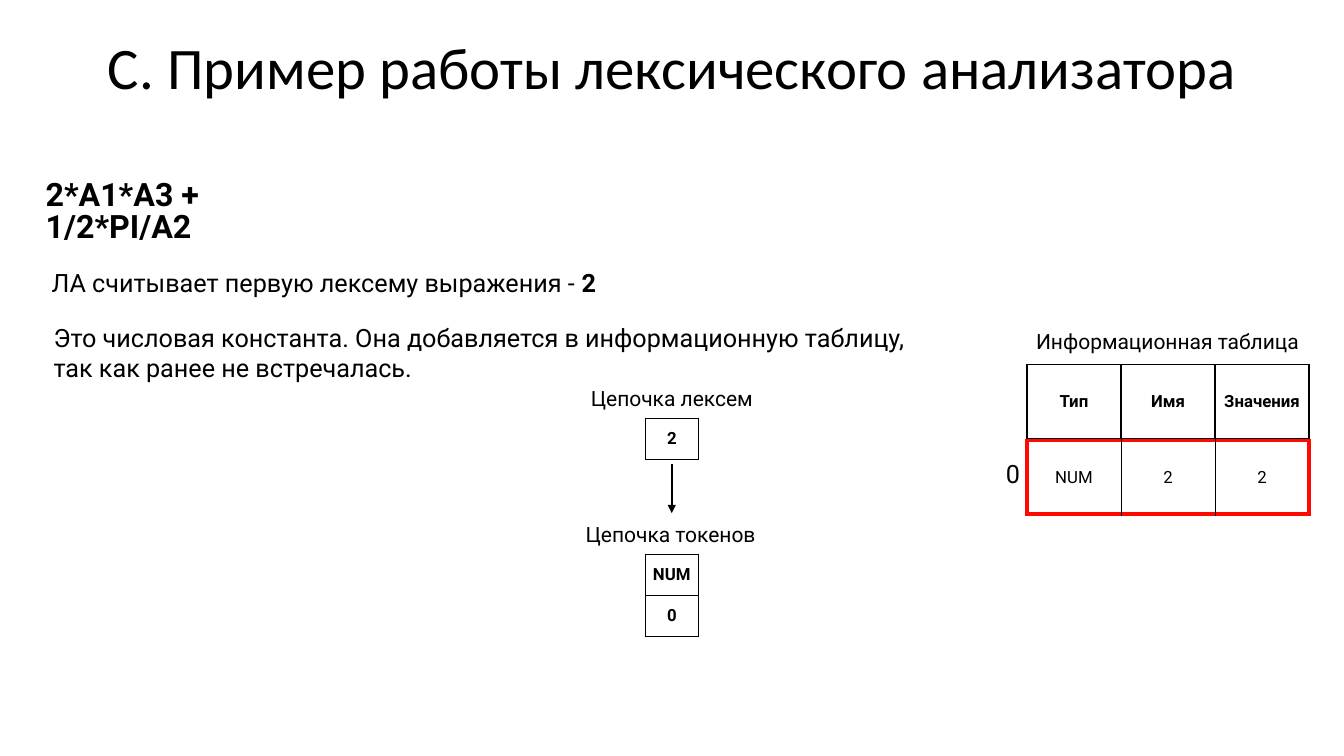
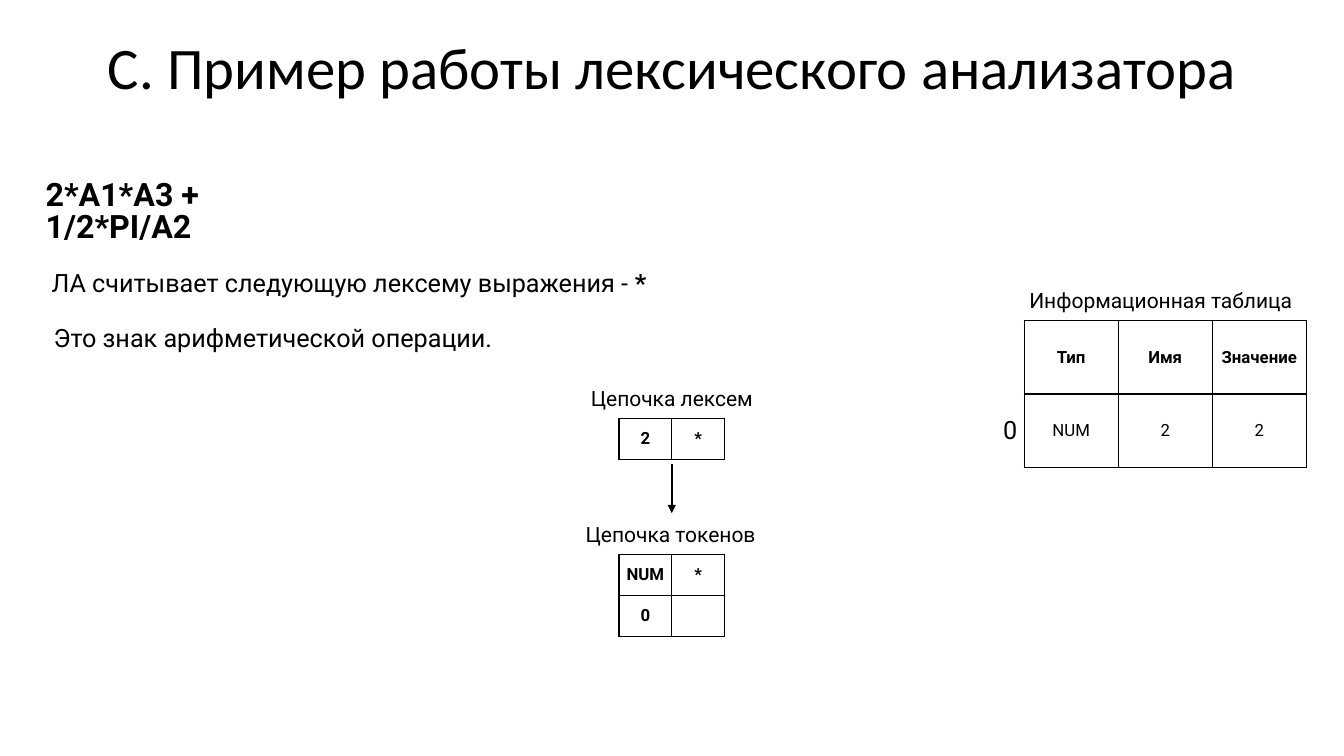
from dataclasses import dataclass

from lxml.etree import SubElement
from pptx import Presentation
from pptx.dml.color import RGBColor
from pptx.enum.shapes import MSO_CONNECTOR as Connector
from pptx.enum.text import MSO_ANCHOR as Anchor, MSO_AUTO_SIZE as AutoSize, PP_ALIGN as Align
from pptx.oxml import parse_xml
from pptx.oxml.ns import nsdecls, qn
from pptx.util import Cm, Pt

BLACK = "000000"
WHITE = "FFFFFF"
RED = "FF0900"
TITLE_FONT = "Calibri"
BODY_FONT = "Roboto"
TITLE = "C. Пример работы лексического анализатора"
FORMULA = "2*A1*A3 +\n1/2*PI/A2"
INSET = 0.13
CHAIN_CENTER = 16.93
CHAIN_CELL = (1.33, 1.03)
INFO_CELL = (2.37, 1.85)


@dataclass(frozen=True)
class Box:
    left: float
    top: float
    width: float
    height: float


@dataclass(frozen=True)
class Caption:
    text: str
    box: Box
    size: float
    ending: str = ""


@dataclass(frozen=True)
class Grid:
    rows: list[list[str]]
    left: float
    top: float
    cell_size: tuple[float, float]
    bold_rows: int = 0
    framed: bool = False


@dataclass(frozen=True)
class Step:
    captions: list[Caption]
    info_grids: list[Grid]
    lexemes: list[str]
    tokens: list[list[str]]


CHAIN_CAPTIONS = [
    Caption("Цепочка лексем", Box(14.76, 9.58, 4.37, 0.89), 15),
    Caption("Цепочка токенов", Box(14.63, 13, 4.6, 0.89), 15),
]

STEPS = [
    Step(
        captions=[
            Caption("ЛА считывает первую лексему выражения - ", Box(1.17, 6.6, 14.1, 1.04), 18, "2"),
            Caption(
                "Это числовая константа. Она добавляется в информационную таблицу,\n"
                "так как ранее не встречалась.",
                Box(1.22, 7.98, 22.05, 1.8), 18,
            ),
            Caption("Информационная таблица", Box(25.98, 8.15, 6.93, 0.89), 15),
            Caption("0", Box(25.22, 11.43, 0.64, 1.04), 18),
        ],
        info_grids=[
            Grid([["Тип", "Имя", "Значения"]], 25.88, 9.19, INFO_CELL, bold_rows=1),
            Grid([["NUM", "2", "2"]], 25.88, 11.1, INFO_CELL, framed=True),
        ],
        lexemes=["2"],
        tokens=[["NUM"], ["0"]],
    ),
    Step(
        captions=[
            Caption("ЛА считывает следующую лексему выражения - ", Box(1.17, 6.6, 15.32, 1.04), 18, "*"),
            Caption("Это знак арифметической операции.", Box(1.22, 7.98, 11.51, 1.04), 18),
            Caption("Информационная таблица", Box(25.81, 7.11, 6.93, 0.89), 15),
            Caption("0", Box(25.15, 10.31, 0.64, 1.04), 18),
        ],
        info_grids=[
            Grid([["Тип", "Имя", "Значение"], ["NUM", "2", "2"]], 25.81, 8.08, INFO_CELL, bold_rows=1),
        ],
        lexemes=["2", "*"],
        tokens=[["NUM", "*"], ["0", ""]],
    ),
]


def color(value: str) -> RGBColor:
    return RGBColor.from_string(value)


def set_text(frame, text: str, *, size: float, font: str = BODY_FONT, bold: bool = False,
             align=Align.LEFT, line_spacing: float = 1.0, ending: str = "") -> None:
    for index, line in enumerate(text.split("\n")):
        paragraph = frame.add_paragraph() if index else frame.paragraphs[0]
        paragraph.alignment = align
        paragraph.line_spacing = line_spacing
        paragraph.font.size = Pt(size)
        for part, strong in ((line, bold), (ending, True)):
            if part:
                run = paragraph.add_run()
                run.text = part
                run.font.name = font
                run.font.size = Pt(size)
                run.font.bold = strong
                run.font.color.rgb = color(BLACK)


def set_insets(target, inset: float) -> None:
    target.margin_left = target.margin_right = Cm(inset)
    target.margin_top = target.margin_bottom = Cm(inset)


def place(shape, box: Box) -> None:
    shape.left, shape.top = Cm(box.left), Cm(box.top)
    shape.width, shape.height = Cm(box.width), Cm(box.height)


def add_text(slide, text: str, box: Box, *, wrap: bool = False, **text_format) -> None:
    shape = slide.shapes.add_textbox(Cm(box.left), Cm(box.top), Cm(box.width), Cm(box.height))
    frame = shape.text_frame
    frame.word_wrap = wrap
    set_insets(frame, INSET)
    set_text(frame, text, **text_format)


def add_title(slide) -> None:
    frame = slide.shapes.title.text_frame
    frame.auto_size = AutoSize.NONE
    frame.vertical_anchor = Anchor.MIDDLE
    set_insets(frame, INSET)
    set_text(frame, TITLE, size=42, font=TITLE_FONT, align=Align.CENTER, line_spacing=0.9)


def set_borders(cell, sides: dict[str, tuple[str, float]]) -> None:
    properties = cell._tc.get_or_add_tcPr()
    for index, (side, (line_color, width)) in enumerate(sides.items()):
        border = parse_xml(
            f'<a:ln{side} {nsdecls("a")} w="{Pt(width)}"><a:solidFill>'
            f'<a:srgbClr val="{line_color}"/></a:solidFill></a:ln{side}>'
        )
        properties.insert(index, border)


def cell_borders(grid: Grid, column: int) -> dict[str, tuple[str, float]]:
    if not grid.framed:
        return {side: (BLACK, 1) for side in "LRTB"}
    outer, inner = (RED, 3), (BLACK, 0.5)
    last = len(grid.rows[0]) - 1
    return {
        "L": outer if column == 0 else inner,
        "R": outer if column == last else inner,
        "T": outer,
        "B": outer,
    }


def add_grid(slide, grid: Grid) -> None:
    row_count, column_count = len(grid.rows), len(grid.rows[0])
    width, height = grid.cell_size
    table = slide.shapes.add_table(
        row_count, column_count, Cm(grid.left), Cm(grid.top),
        Cm(width * column_count), Cm(height * row_count),
    ).table
    table.first_row = table.horz_banding = False
    for column in table.columns:
        column.width = Cm(width)
    for row_index, row in enumerate(grid.rows):
        table.rows[row_index].height = Cm(height)
        for column_index, text in enumerate(row):
            cell = table.cell(row_index, column_index)
            cell.fill.solid()
            cell.fill.fore_color.rgb = color(WHITE)
            cell.vertical_anchor = Anchor.MIDDLE
            set_insets(cell, 0)
            set_text(cell.text_frame, text, size=12, bold=row_index < grid.bold_rows, align=Align.CENTER)
            set_borders(cell, cell_borders(grid, column_index))


def add_arrow(slide, center: float, top: float, bottom: float) -> None:
    arrow = slide.shapes.add_connector(Connector.STRAIGHT, Cm(center), Cm(top), Cm(center), Cm(bottom))
    arrow.line.color.rgb = color(BLACK)
    arrow.line.width = Pt(1.5)
    SubElement(arrow.line._get_or_add_ln(), qn("a:tailEnd"), type="triangle")
    SubElement(arrow._element.spPr, qn("a:effectLst"))


def add_chain(slide, rows: list[list[str]], top: float) -> None:
    left = CHAIN_CENTER - len(rows[0]) * CHAIN_CELL[0] / 2
    add_grid(slide, Grid(rows, left, top, CHAIN_CELL, bold_rows=len(rows)))


def add_step(presentation, layout, step: Step) -> None:
    slide = presentation.slides.add_slide(layout)
    add_title(slide)
    add_text(slide, FORMULA, Box(1.02, 4.45, 7.85, 1.24), wrap=True, size=23, bold=True, line_spacing=0.81)
    for caption in step.captions + CHAIN_CAPTIONS:
        add_text(slide, caption.text, caption.box, size=caption.size, ending=caption.ending)
    for grid in step.info_grids:
        add_grid(slide, grid)
    add_chain(slide, [step.lexemes], 10.54)
    add_arrow(slide, CHAIN_CENTER, 11.68, 12.93)
    add_chain(slide, step.tokens, 13.97)


def main() -> None:
    presentation = Presentation()
    presentation.slide_width, presentation.slide_height = Cm(33.87), Cm(19.05)
    layout = presentation.slide_layouts.get_by_name("Title Only")
    place(layout.placeholders[0], Box(2.33, 0.64, 29.21, 2.29))
    for step in STEPS:
        add_step(presentation, layout, step)
    presentation.save("out.pptx")


if __name__ == "__main__":
    main()
